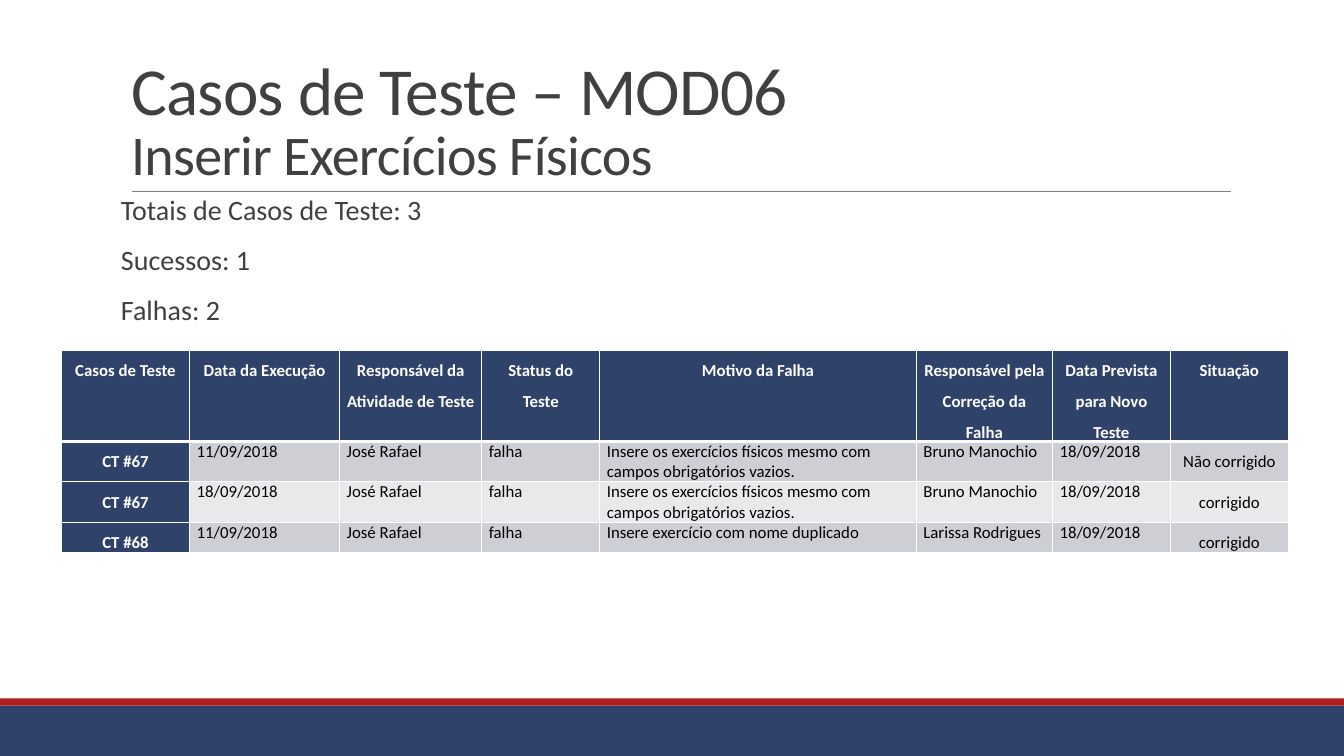
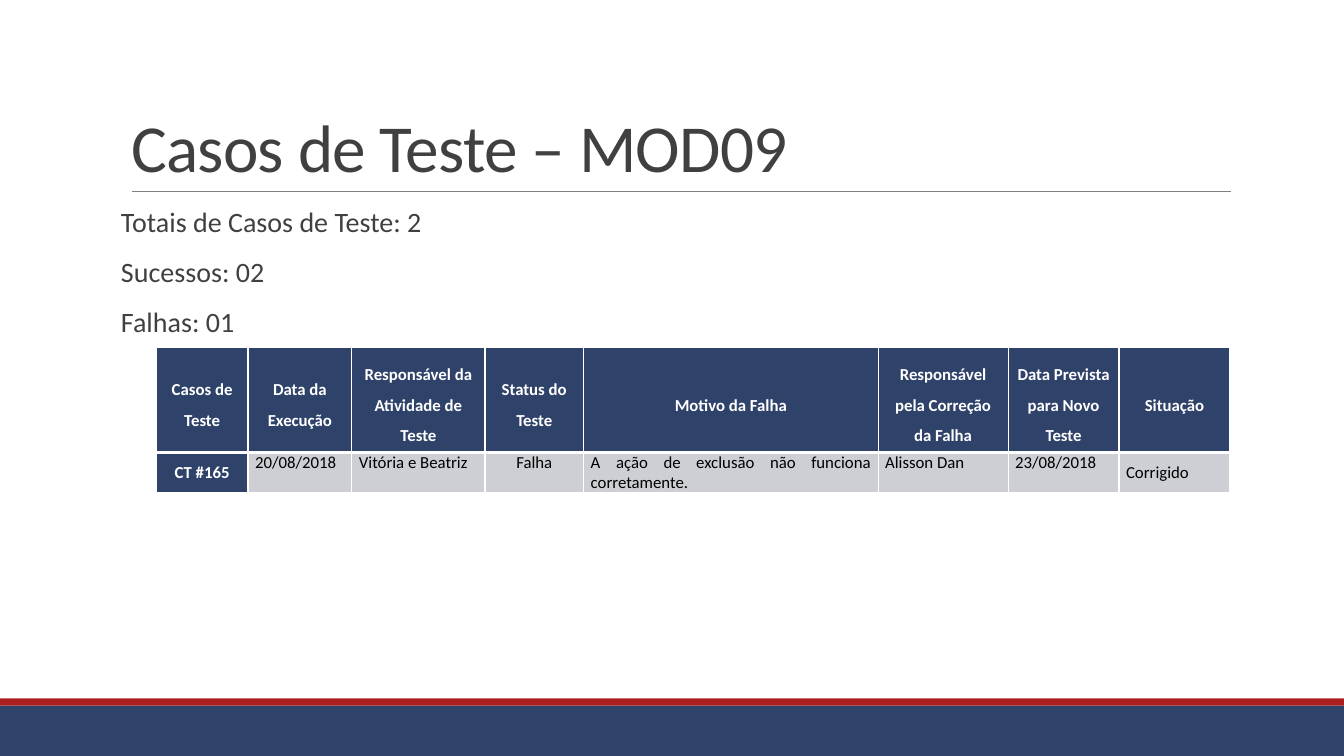
from lxml.etree import SubElement
from pptx import Presentation
from pptx.dml.color import RGBColor
from pptx.enum.shapes import MSO_CONNECTOR as Connector, MSO_SHAPE as Shape
from pptx.enum.text import MSO_ANCHOR as Anchor, MSO_AUTO_SIZE as AutoSize, PP_ALIGN as Align
from pptx.oxml import parse_xml
from pptx.oxml.ns import nsdecls, qn
from pptx.util import Inches, Pt

COLORS = {
    "navy": "2F426A",
    "red": "AD1F1F",
    "rule": "808080",
    "text": "404040",
    "white": "FFFFFF",
    "black": "000000",
    "band_dark": "CDCFD4",
    "band_light": "E8E9EB",
}
ALIGNMENTS = {"l": Align.LEFT, "c": Align.CENTER, "j": Align.JUSTIFY}
HEADINGS = [
    "Casos de Teste", "Data da Execução", "Responsável da Atividade de Teste",
    "Status do Teste", "Motivo da Falha", "Responsável pela Correção da Falha",
    "Data Prevista para Novo Teste", "Situação",
]
MISSING_FIELDS = "Insere os exercícios físicos mesmo com campos obrigatórios vazios."


def color(name):
    return RGBColor.from_string(COLORS[name])


def assign(target, **values):
    for name, value in values.items():
        setattr(target, name, value)


class TestReport:
    """Holds the deck, its style and the current page."""

    font = "Calibri"

    def __init__(self):
        self.deck = Presentation()
        assign(self.deck, slide_width=Inches(13.33), slide_height=Inches(7.5))
        self.page = None

    def add_span(self, para, text, size, ink, bold=False):
        span = para.add_run()
        span.text = text
        assign(span.font, name=self.font, size=Pt(size), bold=bold)
        span.font.color.rgb = color(ink)
        return span

    def add_page(self, *title_lines):
        self.page = self.deck.slides.add_slide(self.deck.slide_layouts[5])
        self.add_band(7, 0.5, "navy")
        self.add_band(6.93, 0.07, "red")
        self.add_rule()
        self.set_title(title_lines)

    def add_band(self, top, height, fill):
        band = self.page.shapes.add_shape(
            Shape.RECTANGLE, 0, Inches(top), self.deck.slide_width, Inches(height))
        band.shadow.inherit = False
        band.fill.solid()
        band.fill.fore_color.rgb = color(fill)
        band.line.fill.background()

    def add_rule(self):
        rule = self.page.shapes.add_connector(
            Connector.STRAIGHT, Inches(1.31), Inches(1.9), Inches(12.21), Inches(1.9))
        rule.line.color.rgb = color("rule")
        rule.line.width = Pt(0.5)
        SubElement(rule._element.spPr, qn("a:effectLst"))

    def set_title(self, lines):
        title = self.page.shapes.title
        assign(title, left=Inches(1.2), top=Inches(0.31),
               width=Inches(11), height=Inches(1.59))
        frame = title.text_frame
        assign(frame, auto_size=AutoSize.NONE, word_wrap=True,
               vertical_anchor=Anchor.BOTTOM)
        para = frame.paragraphs[0]
        assign(para, alignment=Align.LEFT, line_spacing=0.85)
        for index, (line, size) in enumerate(zip(lines, (48, 40))):
            if index:
                para.add_line_break()
            span = self.add_span(para, line, size, "text")
            span._r.get_or_add_rPr().set("spc", "-50")

    def add_summary(self, top, lines):
        box = self.page.shapes.add_textbox(
            Inches(1.2), Inches(top), Inches(11), Inches(1.66))
        frame = box.text_frame
        assign(frame, word_wrap=True, margin_left=0, margin_right=0)
        for index, line in enumerate(lines):
            para = frame.add_paragraph() if index else frame.paragraphs[0]
            assign(para, line_spacing=0.9, space_after=Pt(2),
                   space_before=Pt(12 if index else 0))
            self.add_span(para, line, 20, "text")

    def add_results(self, left, top, widths, heights, rows, alignments, header_anchor):
        table = self.page.shapes.add_table(
            len(heights), len(widths), Inches(left), Inches(top),
            Inches(sum(widths)), Inches(sum(heights))).table
        table.horz_banding = False
        for column, width in zip(table.columns, widths):
            column.width = Inches(width)
        for row, height in zip(table.rows, heights):
            row.height = Inches(height)
        last = len(widths) - 1
        for r, values in enumerate([HEADINGS] + rows):
            for c, value in enumerate(values):
                header = r == 0
                strong = header or c == 0
                band = "band_dark" if r % 2 else "band_light"
                self.fill_cell(
                    table.cell(r, c), value, strong, "navy" if strong else band,
                    Align.CENTER if header else ALIGNMENTS[alignments[c]],
                    1.5 if strong or c == last else 1.0,
                    header_anchor if header else Anchor.TOP)
                self.set_borders(table.cell(r, c), L=1, R=1,
                                 T=3 if r == 1 else 1, B=3 if header else 1)

    def fill_cell(self, cell, value, strong, fill, alignment, spacing, anchor):
        assign(cell, margin_left=Inches(0.07), margin_right=Inches(0.07),
               margin_top=0, margin_bottom=0, vertical_anchor=anchor)
        cell.fill.solid()
        cell.fill.fore_color.rgb = color(fill)
        para = cell.text_frame.paragraphs[0]
        assign(para, alignment=alignment, line_spacing=spacing)
        self.add_span(para, value, 12, "white" if strong else "black", strong)

    def set_borders(self, cell, **points):
        properties = cell._tc.get_or_add_tcPr()
        for index, (side, width) in enumerate(points.items()):
            properties.insert(index, parse_xml(
                f'<a:ln{side} {nsdecls("a")} w="{Pt(width)}"><a:solidFill>'
                f'<a:srgbClr val="{COLORS["white"]}"/></a:solidFill></a:ln{side}>'))


def main():
    report = TestReport()

    # Module 06
    report.add_page("Casos de Teste – MOD06", "Inserir Exercícios Físicos")
    report.add_summary(1.9, ["Totais de Casos de Teste: 3", "Sucessos: 1", "Falhas: 2"])
    report.add_results(
        0.61, 3.48, [1.27, 1.49, 1.41, 1.17, 3.14, 1.35, 1.17, 1.17],
        [0.86, 0.38, 0.38, 0.29],
        [
            ["CT #67", "11/09/2018", "José Rafael", "falha", MISSING_FIELDS,
             "Bruno Manochio", "18/09/2018", "Não corrigido"],
            ["CT #67", "18/09/2018", "José Rafael", "falha", MISSING_FIELDS,
             "Bruno Manochio", "18/09/2018", "corrigido"],
            ["CT #68", "11/09/2018", "José Rafael", "falha",
             "Insere exercício com nome duplicado",
             "Larissa Rodrigues", "18/09/2018", "corrigido"],
        ],
        "cllllllc", Anchor.TOP)

    # Module 09
    report.add_page("Casos de Teste – MOD09")
    report.add_summary(2.02, ["Totais de Casos de Teste: 2", "Sucessos: 02", "Falhas: 01"])
    report.add_results(
        1.55, 3.45, [0.91, 1.03, 1.32, 0.98, 2.92, 1.29, 1.1, 1.1],
        [1.04, 0.4],
        [
            ["CT #165", "20/08/2018", "Vitória e Beatriz", "Falha",
             "A ação de exclusão não funciona corretamente.",
             "Alisson Dan", "23/08/2018", "Corrigido"],
        ],
        "cjjcjjjj", Anchor.MIDDLE)

    report.deck.save("out.pptx")


if __name__ == "__main__":
    main()
